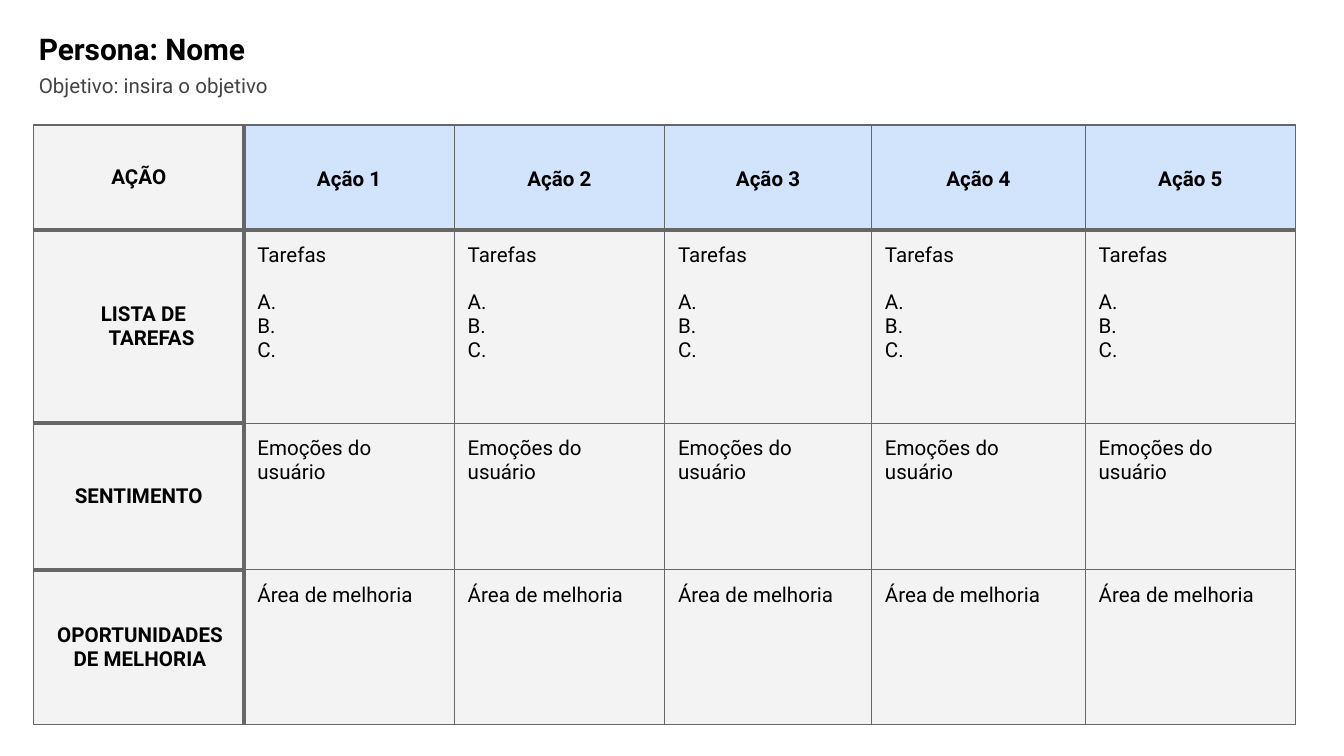
from dataclasses import dataclass

import pptx
import pptx.dml.color
import pptx.enum.text
import pptx.oxml
import pptx.oxml.ns
import pptx.util
from pptx.util import Inches

COLORS = {
    "text": "000000",
    "muted": "434343",
    "border": "666666",
    "action": "D2E3FC",
    "cell": "F3F3F3",
}
FONT = "Roboto"
THIN, THICK = 0.75, 2.25
INSET = 0.1
TABLE_WIDTH = 9.39
ACTION_3_WIDTH, ACTION_4_WIDTH = 1.54, 1.59
COLUMN_WIDTH = (TABLE_WIDTH - ACTION_3_WIDTH - ACTION_4_WIDTH) / 4
COLUMN_WIDTHS = [COLUMN_WIDTH] * 3 + [ACTION_3_WIDTH, ACTION_4_WIDTH, COLUMN_WIDTH]
ALIGN = pptx.enum.text.PP_ALIGN
ANCHOR = pptx.enum.text.MSO_ANCHOR


@dataclass
class JourneyRow:
    label: str
    height: float
    lines: tuple[str, ...]
    first_gap: float = 0
    label_margin: float = 0
    label_indent: float = 0
    label_inset: float = INSET
    header: bool = False


ROWS = [
    JourneyRow("AÇÃO", 0.78, ("Ação {n}",), header=True),
    JourneyRow("LISTA DE TAREFAS", 1.44, ("Tarefas", "A.", "B.", "C."),
               first_gap=12.5, label_margin=0.19, label_indent=-0.12),
    JourneyRow("SENTIMENTO", 1.09, ("Emoções do usuário",)),
    JourneyRow("OPORTUNIDADES DE MELHORIA", 1.15, ("Área de melhoria",),
               label_inset=0.12),
]


def rgb(name: str) -> pptx.dml.color.RGBColor:
    return pptx.dml.color.RGBColor.from_string(COLORS[name])


def write(p, text: str, *, size: float = 11, color: str = "text",
          bold: bool = False, align=ALIGN.LEFT, after: float = 0,
          spacing: float = 1.0, margin: float = 0, indent: float = 0) -> None:
    p.alignment = align
    p.space_after = pptx.util.Pt(after)
    p.line_spacing = spacing
    if margin:
        pPr = p._p.get_or_add_pPr()
        pPr.set("marL", str(Inches(margin)))
        pPr.set("indent", str(Inches(indent)))
    r = p.add_run()
    r.text = text
    r.font.name = FONT
    r.font.size = pptx.util.Pt(size)
    r.font.bold = bold
    r.font.color.rgb = rgb(color)


def add_heading(s, text: str, top: float, width: float, height: float,
                **style) -> None:
    tf = s.shapes.add_textbox(Inches(0.19), Inches(top), Inches(width),
                              Inches(height)).text_frame
    tf.word_wrap = True
    tf.margin_left = tf.margin_right = Inches(INSET)
    tf.margin_top = tf.margin_bottom = Inches(INSET)
    write(tf.paragraphs[0], text, **style)


def set_borders(cell, widths: dict[str, float]) -> None:
    tcPr = cell._tc.get_or_add_tcPr()
    for i, side in enumerate("LRTB"):
        ln = pptx.oxml.parse_xml(
            f'<a:ln{side} {pptx.oxml.ns.nsdecls("a")} '
            f'w="{pptx.util.Pt(widths[side])}">'
            f'<a:solidFill><a:srgbClr val="{COLORS["border"]}"/></a:solidFill>'
            f'<a:prstDash val="solid"/></a:ln{side}>')
        tcPr.insert(i, ln)


def format_cell(cell, row: int, col: int) -> None:
    stage = ROWS[row]
    label = col == 0
    cell.fill.solid()
    cell.fill.fore_color.rgb = rgb("action" if stage.header and not label else "cell")
    cell.margin_left = Inches(stage.label_inset if label else INSET)
    cell.margin_right = cell.margin_top = cell.margin_bottom = Inches(INSET)
    cell.vertical_anchor = ANCHOR.MIDDLE if label or stage.header else ANCHOR.TOP
    last = row == len(ROWS) - 1
    set_borders(cell, {
        "L": THICK if col == 1 else THIN,
        "R": THICK if label else THIN,
        "T": THICK if row == 1 or (label and row) else THIN,
        "B": THICK if stage.header or (label and not last) else THIN,
    })


def fill_cell(cell, row: int, col: int) -> None:
    stage = ROWS[row]
    tf = cell.text_frame
    if col == 0:
        write(tf.paragraphs[0], stage.label, bold=True, align=ALIGN.CENTER,
              margin=stage.label_margin, indent=stage.label_indent)
        return
    for i, line in enumerate(stage.lines):
        p = tf.add_paragraph() if i else tf.paragraphs[0]
        write(p, line.format(n=col), bold=stage.header,
              align=ALIGN.CENTER if stage.header else ALIGN.LEFT,
              spacing=1.15 if stage.header else 1.0,
              after=0 if i else stage.first_gap)


def add_journey_table(s) -> None:
    table = s.shapes.add_table(
        len(ROWS), len(COLUMN_WIDTHS), Inches(0.25), Inches(0.93),
        Inches(TABLE_WIDTH), Inches(sum(r.height for r in ROWS))).table
    table.first_row = table.horz_banding = False
    for column, width in zip(table.columns, COLUMN_WIDTHS):
        column.width = Inches(width)
    for row, stage in enumerate(ROWS):
        table.rows[row].height = Inches(stage.height)
        for col in range(len(COLUMN_WIDTHS)):
            cell = table.cell(row, col)
            format_cell(cell, row, col)
            fill_cell(cell, row, col)


def main() -> None:
    prs = pptx.Presentation()
    prs.slide_width, prs.slide_height = Inches(10), Inches(10 * 9 / 16)
    s = prs.slides.add_slide(prs.slide_layouts[6])
    add_heading(s, "Persona: Nome", 0.13, 1.95, 0.44, size=16, bold=True)
    add_heading(s, "Objetivo: insira o objetivo", 0.45, 9.28, 0.3,
                color="muted", after=3)
    add_journey_table(s)
    prs.save("out.pptx")


if __name__ == "__main__":
    main()
